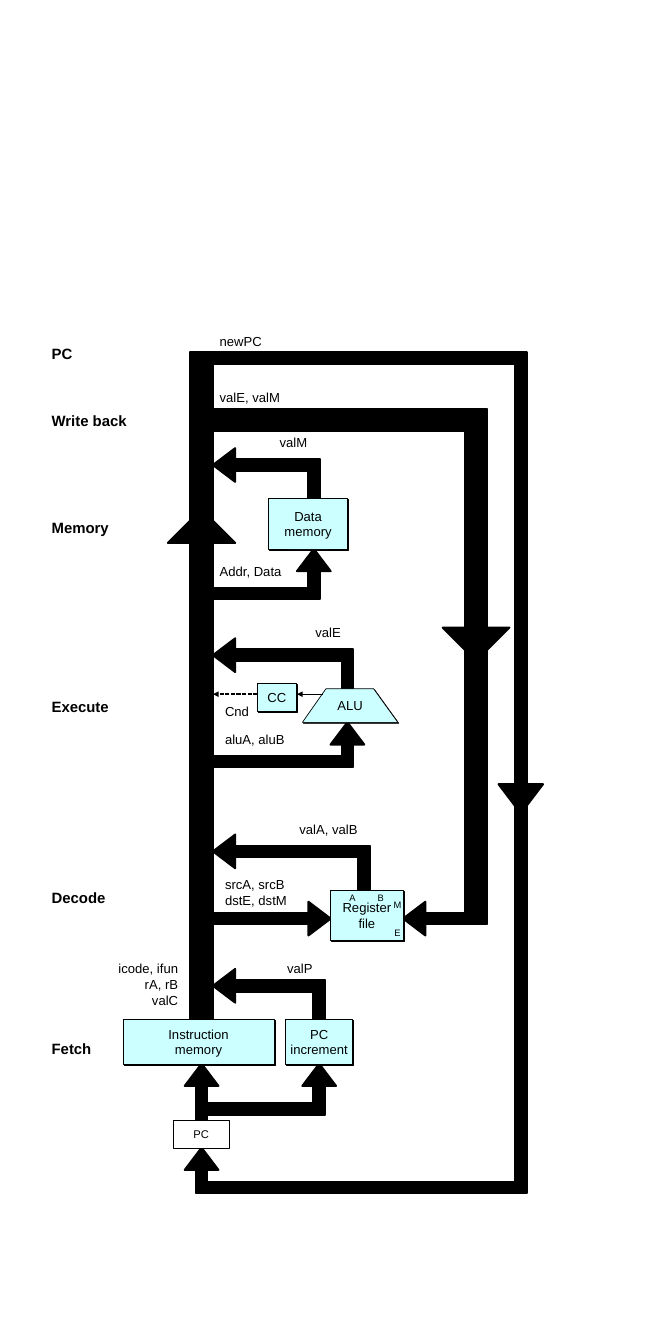
from dataclasses import dataclass
from typing import Any

from lxml import etree
from pptx import Presentation
from pptx.dml.color import RGBColor
from pptx.enum.dml import MSO_LINE
from pptx.enum.shapes import MSO_CONNECTOR, MSO_SHAPE
from pptx.enum.text import MSO_ANCHOR, PP_ALIGN
from pptx.oxml.ns import qn
from pptx.util import Inches, Pt

BLACK = RGBColor(0x00, 0x00, 0x00)
WHITE = RGBColor(0xFF, 0xFF, 0xFF)
CYAN = RGBColor(0xCC, 0xFF, 0xFF)
LEFT, CENTER, RIGHT = PP_ALIGN.LEFT, PP_ALIGN.CENTER, PP_ALIGN.RIGHT
TOP, MIDDLE = MSO_ANCHOR.TOP, MSO_ANCHOR.MIDDLE
RECTANGLE, STRAIGHT = MSO_SHAPE.RECTANGLE, MSO_CONNECTOR.STRAIGHT
DOTTED = MSO_LINE.SQUARE_DOT

FONT = "Arial"
TRUNK_EDGE = 3.17
NAME_OFFSET = -2.5
THIN, THICK = 0.17, 0.33
HEAD_LENGTH = 0.33
UP, DOWN = (0, -1), (0, 1)


def write(shape, text, size=14, bold=False, align=LEFT, anchor=TOP, wrap=True):
    frame = shape.text_frame
    frame.text = text
    frame.word_wrap = wrap
    frame.vertical_anchor = anchor
    for para in frame.paragraphs:
        para.alignment = align
        para.font.name = FONT
        para.font.size = Pt(size)
        para.font.bold = bold
        para.font.color.rgb = BLACK


def paint(shape, fill, line_width):
    shape.shadow.inherit = False
    shape.fill.solid()
    shape.fill.fore_color.rgb = fill
    shape.line.color.rgb = BLACK
    shape.line.width = Pt(line_width)


def cast_shadow(shape):
    """Give the shape a hard shadow to the lower right."""
    effects = shape._element.spPr.find(qn("a:effectLst"))
    shadow = etree.SubElement(effects, qn("a:outerShdw"), blurRad="0",
                              dist="17961", dir="2700000", algn="ctr", rotWithShape="0")
    etree.SubElement(shadow, qn("a:srgbClr"), val=str(BLACK))


@dataclass
class Region:
    """A part of the diagram whose lengths count from its own left and top."""
    page: Any
    left: float
    top: float

    def place(self, x, y):
        return Inches(self.left + x), Inches(self.top + y)

    def label(self, text, x, y, width=1.25, height=0.34, **style):
        box = self.page.shapes.add_textbox(*self.place(x, y), Inches(width), Inches(height))
        write(box, text, **style)

    def name(self, text, y):
        self.label(text, NAME_OFFSET, y, width=1.32, height=0.37, size=16, bold=True, wrap=False)

    def rectangle(self, x, y, width, height, fill=BLACK, line_width=2.25):
        shape = self.page.shapes.add_shape(
            RECTANGLE, *self.place(x, y), Inches(width), Inches(height))
        paint(shape, fill, line_width)
        return shape

    def block(self, text, x, y, width, height, fill=CYAN, size=14):
        shape = self.rectangle(x, y, width, height, fill, 0.75)
        if fill == CYAN:
            cast_shadow(shape)
        write(shape, text, size=size, align=CENTER, anchor=MIDDLE, wrap=False)

    def outline(self, points, fill, line_width):
        corners = [self.place(*point) for point in points]
        builder = self.page.shapes.build_freeform(*corners[0], scale=1.0)
        builder.add_line_segments(corners[1:], close=True)
        shape = builder.convert_to_shape()
        paint(shape, fill, line_width)
        return shape

    def head(self, tip, direction, half=0.25):
        (x, y), (dx, dy) = tip, direction
        base_x, base_y = x - dx * HEAD_LENGTH, y - dy * HEAD_LENGTH
        self.outline([(base_x - dy * half, base_y + dx * half), tip,
                      (base_x + dy * half, base_y - dx * half)], BLACK, 2.25)

    def flow(self, *points, width=THIN, headed=True):
        """Draw a right-angled bus through the points, with a head at the last."""
        last = len(points) - 2
        for index, ((x1, y1), (x2, y2)) in enumerate(zip(points, points[1:])):
            dx, dy = (x2 > x1) - (x2 < x1), (y2 > y1) - (y2 < y1)
            before = width / 2 if index else 0
            after = width / 2
            if index == last:
                after = -HEAD_LENGTH if headed else 0
            xs = sorted((x1 - dx * before, x2 + dx * after))
            ys = sorted((y1 - dy * before, y2 + dy * after))
            half_x, half_y = abs(dy) * width / 2, abs(dx) * width / 2
            self.rectangle(xs[0] - half_x, ys[0] - half_y,
                           xs[1] - xs[0] + 2 * half_x, ys[1] - ys[0] + 2 * half_y)
        if headed:
            self.head(points[-1], (dx, dy))

    def signal(self, start, end, line_width, dash=None):
        line = self.page.shapes.add_connector(STRAIGHT, *self.place(*start), *self.place(*end))
        line.line.color.rgb = BLACK
        line.line.width = Pt(line_width)
        if dash:
            line.line.dash_style = dash
        etree.SubElement(line.line._get_or_add_ln(), qn("a:tailEnd"), type="triangle")
        etree.SubElement(line._element.spPr, qn("a:effectLst"))


def draw_buses(region):
    region.flow((-0.17, 10.25), (-0.17, 0.33), width=THICK, headed=False)
    region.flow((-0.34, 0.41), (4.58, 0.41), (4.58, 12.75), (-0.17, 12.75), (-0.17, 12.16))
    region.flow((-0.34, 1.33), (3.91, 1.33), (3.91, 8.83), width=THICK, headed=False)
    region.flow((4.08, 8.75), (2.83, 8.75))
    for x in (-0.34, 0):
        region.head((x, 2.83), UP, half=0.33)
    for x in (3.75, 4.08):
        region.head((x, 4.75), DOWN, half=0.33)
    for x in (4.5, 4.66):
        region.head((x, 7.08), DOWN)
    region.name("PC", 0.16)
    region.name("Write back", 1.16)
    region.label("newPC", 0, 0)
    region.label("valE, valM", 0, 0.83)


def draw_memory(region):
    region.flow((1.5, 1), (1.5, 0.5), (0, 0.5))
    region.flow((0, 2.41), (1.5, 2.41), (1.5, 1.75))
    region.block("Data\nmemory", 0.83, 1, 1.17, 0.75)
    region.name("Memory", 1.25)
    region.label("valM", 0.25, 0, align=RIGHT)
    region.label("Addr, Data", 0, 1.91)


def draw_execute(region):
    region.flow((2, 1), (2, 0.5), (0, 0.5))
    region.flow((0, 2.08), (2, 2.08), (2, 1.5))
    region.block("CC", 0.66, 0.92, 0.58, 0.42)
    alu = region.outline([(1.33, 1.5), (1.68, 1), (2.39, 1), (2.75, 1.5)], CYAN, 0.75)
    cast_shadow(alu)
    write(alu, "ALU", align=CENTER, anchor=MIDDLE, wrap=False)
    region.signal((1.64, 1.08), (1.25, 1.08), 0.75)
    region.signal((0.66, 1.08), (0, 1.08), 1.5, dash=DOTTED)
    region.name("Execute", 1.08)
    region.label("valE", 0.75, 0, align=RIGHT)
    region.label("Cnd", 0.08, 1.17)
    region.label("aluA, aluB", 0.08, 1.58)


def draw_decode(region):
    region.flow((2.25, 1.08), (2.25, 0.5), (0, 0.5))
    region.flow((0, 1.5), (1.75, 1.5))
    region.block("Register\nfile", 1.75, 1.08, 1.08, 0.75)
    ports = {"A": (1.91, 1.06), "B": (2.33, 1.06), "M": (2.58, 1.16), "E": (2.58, 1.58)}
    for port, (x, y) in ports.items():
        region.label(port, x, y, width=0.33, height=0.27, size=10, align=CENTER)
    region.name("Decode", 1)
    region.label("valA, valB", 1, 0, align=RIGHT)
    region.label("srcA, srcB\ndstE, dstM", 0.08, 0.83, height=0.57)


def draw_fetch(region):
    region.flow((1.58, 0.92), (1.58, 0.42), (0, 0.42))
    region.flow((-0.17, 2.42), (-0.17, 1.58))
    region.flow((-0.09, 2.25), (1.58, 2.25), (1.58, 1.58))
    region.block("Instruction\nmemory", -1.34, 0.92, 2.25, 0.67)
    region.block("PC\nincrement", 1.08, 0.92, 1, 0.67)
    region.block("PC", -0.59, 2.42, 0.83, 0.42, fill=WHITE, size=12)
    region.name("Fetch", 1.17)
    region.label("valP", 0.33, 0, align=RIGHT)
    region.label("icode, ifun\nrA, rB\nvalC", -1.59, 0, width=1.17, height=0.8, align=RIGHT)


def main():
    deck = Presentation()
    deck.slide_width, deck.slide_height = Inches(10), Inches(20)
    page = deck.slides.add_slide(deck.slide_layouts[6])
    tops = {draw_buses: 4.92, draw_memory: 6.42, draw_execute: 9.25,
            draw_decode: 12.17, draw_fetch: 14.25}
    for draw, top in tops.items():
        draw(Region(page, TRUNK_EDGE, top))
    deck.save("out.pptx")


if __name__ == "__main__":
    main()
